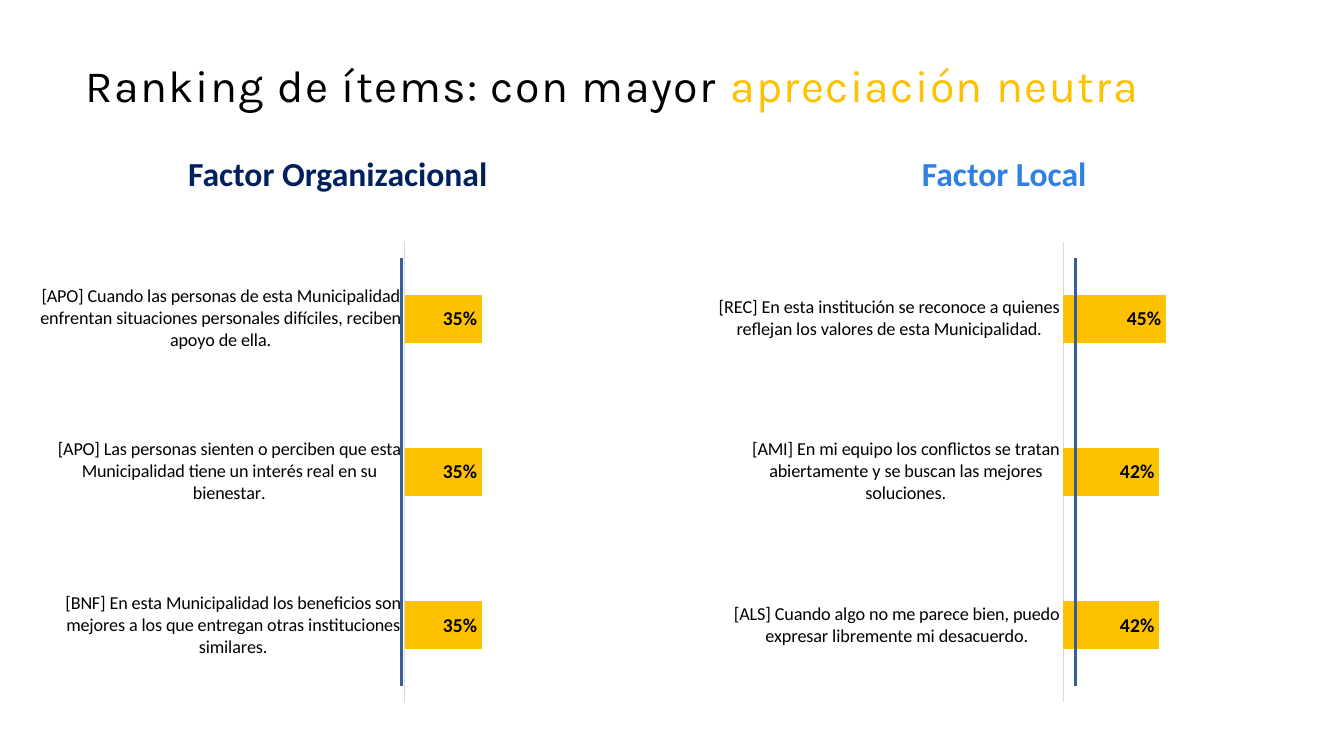
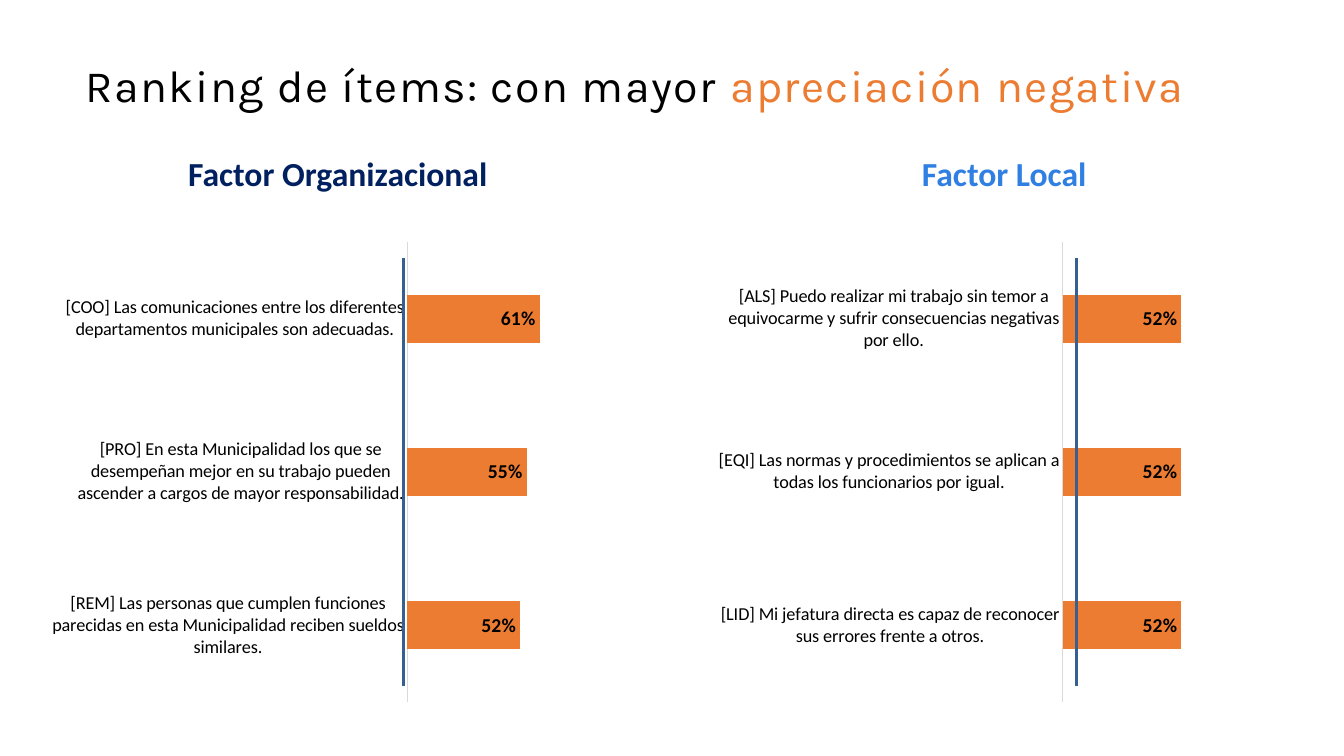
from dataclasses import dataclass
from typing import Optional

from lxml.etree import SubElement
from pptx import Presentation
from pptx.chart.data import CategoryChartData
from pptx.dml.color import RGBColor
from pptx.enum.chart import XL_CHART_TYPE, XL_LABEL_POSITION, XL_TICK_MARK
from pptx.enum.shapes import MSO_CONNECTOR
from pptx.enum.text import MSO_ANCHOR, PP_ALIGN
from pptx.oxml.ns import qn
from pptx.util import Emu, Pt

# Shared style
BLACK, WHITE = "000000", "FFFFFF"
NAVY, BLUE = "002060", "307FE2"
YELLOW, ORANGE = "FEC100", "EC7C31"
RULE, AXIS = "376092", "D9D9D9"
TITLE_FONT, BODY_FONT = "Karla", "Calibri"
TITLE_START = "Ranking de ítems: con mayor "
CHART_TOP, CHART_W, CHART_H = 231, 591, 475
RULE_TOP, RULE_BOTTOM = 256, 681


@dataclass(frozen=True)
class Panel:
    heading: str
    color: str
    heading_x: int
    chart_x: int


@dataclass(frozen=True)
class Item:
    text: str
    value: float


@dataclass(frozen=True)
class Ranking:
    highlight: str
    color: str
    rules_x: tuple[int, int]
    items: tuple[list[Item], list[Item]]


PANELS = (
    Panel("Factor Organizacional", NAVY, 83, 40),
    Panel("Factor Local", BLUE, 744, 701),
)

# Items run from the bottom bar to the top bar
RANKINGS = (
    Ranking("apreciación neutra", YELLOW, (398, 1067), (
        [
            Item("[BNF] En esta Municipalidad los beneficios son mejores a los "
                 "que entregan otras instituciones similares.", 0.35),
            Item("[APO] Las personas sienten o perciben que esta Municipalidad "
                 "tiene un interés real en su bienestar.", 0.35),
            Item("[APO] Cuando las personas de esta Municipalidad enfrentan "
                 "situaciones personales difíciles, reciben apoyo de ella.", 0.35),
        ],
        [
            Item("[ALS] Cuando algo no me parece bien, puedo expresar "
                 "libremente mi desacuerdo.", 0.42),
            Item("[AMI] En mi equipo los conflictos se tratan abiertamente y "
                 "se buscan las mejores soluciones.", 0.42),
            Item("[REC] En esta institución se reconoce a quienes reflejan los "
                 "valores de esta Municipalidad.", 0.45),
        ],
    )),
    Ranking("apreciación negativa", ORANGE, (400, 1068), (
        [
            Item("[REM] Las personas que cumplen funciones parecidas en esta "
                 "Municipalidad reciben sueldos similares.", 0.52),
            Item("[PRO] En esta Municipalidad los que se desempeñan mejor en su "
                 "trabajo pueden ascender a cargos de mayor responsabilidad.", 0.55),
            Item("[COO] Las comunicaciones entre los diferentes departamentos "
                 "municipales son adecuadas.", 0.61),
        ],
        [
            Item("[LID] Mi jefatura directa es capaz de reconocer sus errores "
                 "frente a otros.", 0.52),
            Item("[EQI] Las normas y procedimientos se aplican a todas los "
                 "funcionarios por igual.", 0.52),
            Item("[ALS] Puedo realizar mi trabajo sin temor a equivocarme y "
                 "sufrir consecuencias negativas por ello.", 0.52),
        ],
    )),
)


def px(n: int) -> Emu:
    """100 px make one inch."""
    return Emu(n * 9144)


def rgb(value: str) -> RGBColor:
    return RGBColor.from_string(value)


def style_font(font, size: int, color: str, name: str = BODY_FONT,
               bold: bool = False) -> None:
    font.size, font.name, font.bold = Pt(size), name, bold
    font.color.rgb = rgb(color)


def add_text(p, text: str, *, size: int, color: str, name: str = BODY_FONT,
             bold: bool = False, align: Optional[PP_ALIGN] = None,
             spacing: int = 0) -> None:
    p.alignment, p.line_spacing, p.space_before = align, 0.9, Pt(0)
    r = p.add_run()
    r.text = text
    style_font(r.font, size, color, name, bold)
    if spacing:
        r.font._element.set("spc", str(spacing * 100))


def add_title(slide, ranking: Ranking) -> None:
    sp = slide.shapes.title
    sp.left, sp.top, sp.width, sp.height = px(85), px(34), px(1178), px(106)
    tf = sp.text_frame
    tf.word_wrap, tf.vertical_anchor = True, MSO_ANCHOR.MIDDLE
    tf.margin_left = tf.margin_top = tf.margin_right = tf.margin_bottom = 0
    for text, color in ((TITLE_START, BLACK), (ranking.highlight, ranking.color)):
        add_text(tf.paragraphs[0], text, size=32, color=color,
                 name=TITLE_FONT, align=PP_ALIGN.LEFT, spacing=1)


def add_heading(slide, panel: Panel) -> None:
    sp = slide.shapes.add_textbox(px(panel.heading_x), px(158), px(504), px(33))
    tf = sp.text_frame
    tf.word_wrap, tf.vertical_anchor = True, MSO_ANCHOR.MIDDLE
    add_text(tf.paragraphs[0], panel.heading, size=24, color=panel.color,
             bold=True, align=PP_ALIGN.CENTER)


def add_bars(slide, panel: Panel, items: list[Item], color: str) -> None:
    data = CategoryChartData(number_format="0%")
    data.categories = [item.text for item in items]
    data.add_series("Series 1", [item.value for item in items])
    chart = slide.shapes.add_chart(
        XL_CHART_TYPE.BAR_CLUSTERED, px(panel.chart_x), px(CHART_TOP),
        px(CHART_W), px(CHART_H), data).chart
    chart.has_legend = chart.has_title = False
    style_font(chart.font, 10, WHITE)

    # Axes
    cat = chart.category_axis
    cat.major_tick_mark = cat.minor_tick_mark = XL_TICK_MARK.NONE
    cat.has_major_gridlines = False
    style_font(cat.tick_labels.font, 13, BLACK)
    cat.format.line.color.rgb = rgb(AXIS)
    cat.format.line.width = Pt(0.75)
    val = chart.value_axis
    val.minimum_scale, val.maximum_scale = 0, 1
    val.has_major_gridlines = val.visible = False

    # Bars and their labels
    plot = chart.plots[0]
    plot.gap_width, plot.vary_by_categories = 219, False
    fill = plot.series[0].format.fill
    fill.solid()
    fill.fore_color.rgb = rgb(color)
    labels = plot.series[0].data_labels
    labels.show_value = True
    labels.number_format, labels.number_format_is_linked = "0%", False
    labels.position = XL_LABEL_POSITION.INSIDE_END
    style_font(labels.font, 14, BLACK, bold=True)


def add_rule(slide, x: int) -> None:
    line = slide.shapes.add_connector(
        MSO_CONNECTOR.STRAIGHT, px(x), px(RULE_BOTTOM), px(x), px(RULE_TOP))
    line.line.color.rgb = rgb(RULE)
    line.line.width = Pt(2)
    SubElement(line._element.spPr, qn("a:effectLst"))


def add_ranking(prs, ranking: Ranking) -> None:
    slide = prs.slides.add_slide(prs.slide_layouts.get_by_name("Title Only"))
    add_title(slide, ranking)
    for panel in PANELS:
        add_heading(slide, panel)
    for panel, items in zip(PANELS, ranking.items):
        add_bars(slide, panel, items, ranking.color)
    for x in ranking.rules_x:
        add_rule(slide, x)


def main() -> None:
    prs = Presentation()
    prs.slide_width, prs.slide_height = px(1333), px(750)
    for ranking in RANKINGS:
        add_ranking(prs, ranking)
    prs.save("out.pptx")


if __name__ == "__main__":
    main()
